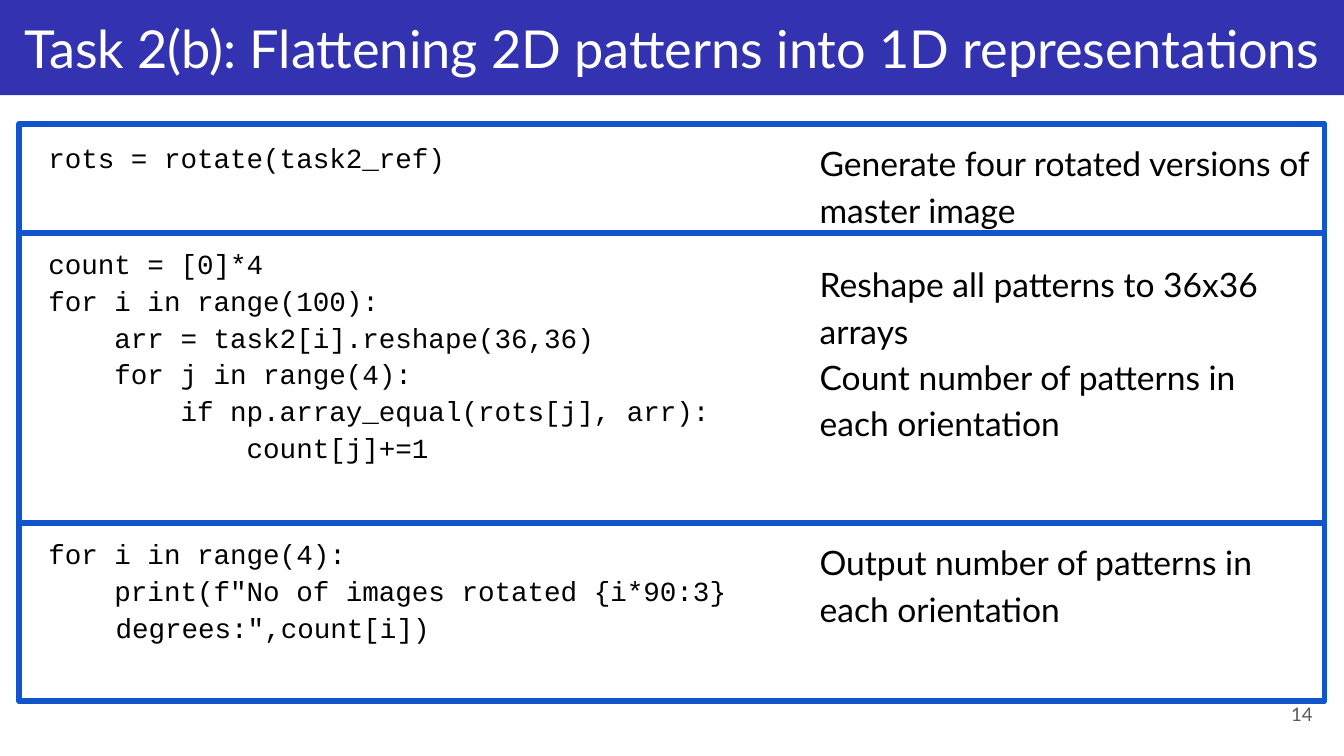
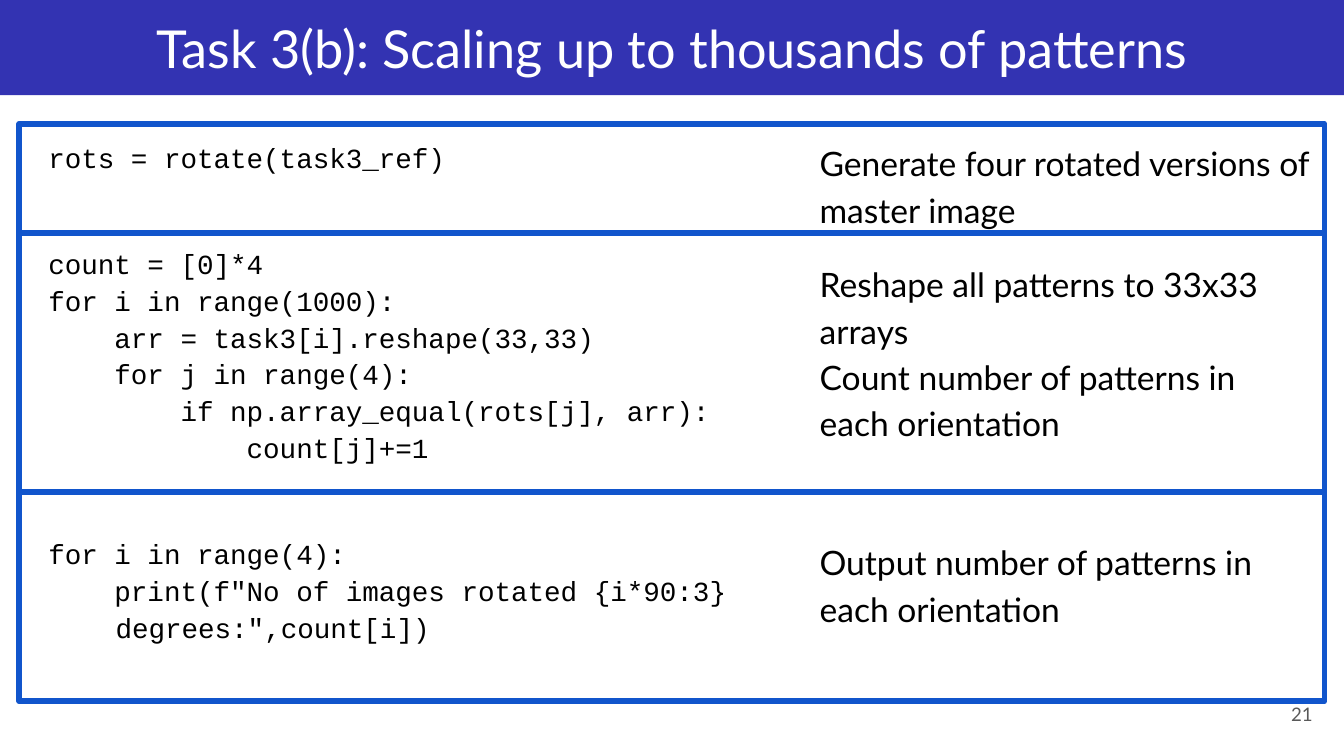
from pptx import Presentation
from pptx import util as u
from pptx.dml.color import RGBColor
from pptx.enum import shapes, text

BAND = RGBColor(0x33, 0x33, 0xB2)
FRAME = RGBColor(0x11, 0x55, 0xCC)
WHITE = RGBColor(0xFF, 0xFF, 0xFF)
BLACK = RGBColor(0, 0, 0)
GREY = RGBColor(0x59, 0x59, 0x59)
SANS, MONO = "Lato", "Courier New"

# Content: per slide the title, page, task, pattern count, pattern side, lower divider
SLIDES = [
    dict(title="Task 2(b): Flattening 2D patterns into 1D representations",
         page=14, task="task2", total=100, side=36, divider=280.1),
    dict(title="Task 3(b): Scaling up to thousands of patterns",
         page=21, task="task3", total=1000, side=33, divider=263.5),
]


def code_groups(task, total, side):
    return [
        [f"rots = rotate({task}_ref)"],
        ["count = [0]*4",
         f"for i in range({total}):",
         f"    arr = {task}[i].reshape({side},{side})",
         "    for j in range(4):",
         "        if np.array_equal(rots[j], arr):",
         "            count[j]+=1"],
        ["for i in range(4):",
         '    print(f"No of images rotated {i*90:3}',
         'degrees:",count[i])'],
    ]


def note_groups(side):
    return [
        ["Generate four rotated versions of master image"],
        [f"Reshape all patterns to {side}x{side} arrays",
         "Count number of patterns in each orientation"],
        ["Output number of patterns in each orientation"],
    ]


# Layout, in points
W, H = 720, 405
BAND_H = 51
TOP, FIRST_DIVIDER, BOTTOM = 66.3, 125, 375.7
FRAME_X, FRAME_W = 10.3, 699.3
BODY_H = 293
CODE_X, NOTE_X, NOTE_W = 18.8, 432, 278.5
CODE_GAPS = (0, 37.3, 37.3)
NOTE_GAPS = (0, 15.2, 49.7)


def write(sp, groups, gaps=(0,), font=SANS, size=18, color=BLACK, spacing=None,
          align=text.PP_ALIGN.LEFT, anchor=text.MSO_ANCHOR.TOP):
    """Fill a shape with groups of paragraphs; each group starts after its gap."""
    tf = sp.text_frame
    tf.word_wrap = True
    tf.auto_size = text.MSO_AUTO_SIZE.NONE
    tf.vertical_anchor = anchor
    tf.margin_left = tf.margin_right = tf.margin_top = tf.margin_bottom = u.Pt(7.2)
    p = None
    for group, gap in zip(groups, gaps):
        for i, line in enumerate(group):
            p = tf.add_paragraph() if p is not None else tf.paragraphs[0]
            p.alignment = align
            p.line_spacing = spacing
            if gap and i == 0:
                p.space_before = u.Pt(gap)
            r = p.add_run()
            r.text = line
            r.font.name, r.font.size = font, u.Pt(size)
            r.font.color.rgb = color
    return tf


def box(s, x, y, w, h):
    return s.shapes.add_textbox(u.Pt(x), u.Pt(y), u.Pt(w), u.Pt(h))


def add_slide(prs, title, page, task, total, side, divider):
    s = prs.slides.add_slide(prs.slide_layouts[5])

    # Title band
    sp = s.shapes.title
    sp.left, sp.top, sp.width, sp.height = 0, 0, u.Pt(W), u.Pt(BAND_H)
    sp.fill.solid()
    sp.fill.fore_color.rgb = BAND
    write(sp, [[title]], size=28, color=WHITE, align=text.PP_ALIGN.CENTER,
          anchor=text.MSO_ANCHOR.MIDDLE)

    # Page number
    write(box(s, 667.2, 367.2, 43.2, 31), [[str(page)]], size=10, color=GREY,
          align=text.PP_ALIGN.RIGHT, anchor=text.MSO_ANCHOR.MIDDLE)

    # Code on the left, the wrapped last line indented
    tf = write(box(s, CODE_X, TOP, NOTE_X - CODE_X, BODY_H),
               code_groups(task, total, side), CODE_GAPS,
               font=MONO, size=14.8, spacing=1.11)
    pPr = tf.paragraphs[-1]._p.get_or_add_pPr()
    pPr.set("marL", str(u.Pt(36)))
    pPr.set("indent", "0")

    # Explanations on the right
    write(box(s, NOTE_X, TOP, NOTE_W, BODY_H), note_groups(side), NOTE_GAPS,
          spacing=1.15)

    # Frames around the three steps
    edges = [TOP, FIRST_DIVIDER, divider, BOTTOM]
    for top, bottom in zip(edges, edges[1:]):
        sp = s.shapes.add_shape(shapes.MSO_SHAPE.RECTANGLE, u.Pt(FRAME_X), u.Pt(top),
                                u.Pt(FRAME_W), u.Pt(bottom - top))
        sp.shadow.inherit = False
        sp.fill.background()
        sp.line.color.rgb = FRAME
        sp.line.width = u.Pt(3)


def main():
    prs = Presentation()
    prs.slide_width, prs.slide_height = u.Pt(W), u.Pt(H)
    for content in SLIDES:
        add_slide(prs, **content)
    prs.save("out.pptx")


if __name__ == "__main__":
    main()
